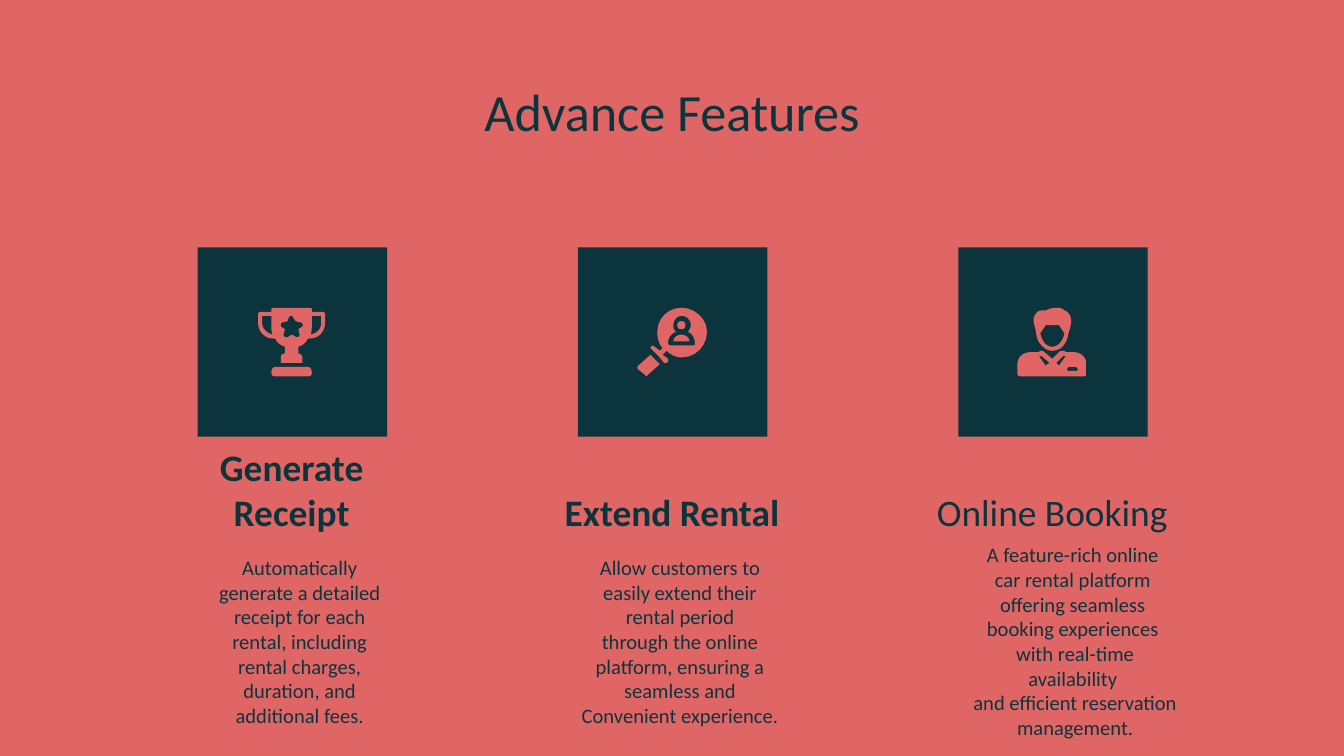
from lxml import etree
from pptx import Presentation
from pptx.dml.color import RGBColor
from pptx.enum import shapes as kinds, text as txt
from pptx.oxml import ns
from pptx.util import Inches, Pt

CORAL = RGBColor(0xE0, 0x66, 0x66)
TEAL = RGBColor(0x0C, 0x34, 0x3D)
FONT = "Calibri"

TITLE = "Advance Features"
# heading, bold heading, lines, body box, anchor, hanging indent
COLS = [
    ("Generate Receipt", True,
     ["Automatically", "generate a detailed", "receipt for each",
      "rental, including", "rental charges,", "duration, and",
      "additional fees."],
     (1.09, 4.03, 2.16, 1.05), "TOP", True),
    ("Extend Rental", True,
     ["Allow customers to", "easily extend their", "rental period",
      "through the online", "platform, ensuring a", "seamless and",
      "Convenient experience."],
     (3.92, 4.03, 2.16, 1.53), "TOP", True),
    ("Online Booking", False,
     ["A feature-rich online ", "car rental platform ",
      "offering seamless ", "booking experiences ",
      "with real-time availability ", "and efficient reservation ",
      "management."],
     (7.13, 4.07, 1.74, 1.4), "MIDDLE", False),
]

# Icon > part > contour, in hundredths of an inch on the slide.
# Two numbers are a corner, six are a Bezier curve.
TROPHY = [
    ["205 273; 203 273 202 275 202 277; 202 278; 202 279 203 280 204 280;"
     "230 280; 231 280 232 279 232 278; 232 277; 232 275 231 273 229 273"],
    ["239 235; 239 240; 239 245 236 248 231 249; 232 247 232 245 232 244;"
     "232 235",
     "202 235; 202 244; 202 245 202 247 203 249; 199 248 195 245 195 240;"
     "195 235",
     "217 235; 217 235 218 235 218 236; 220 239; 224 240;"
     "225 240 226 242 225 243; 222 245; 223 249; 223 250 222 251 221 251;"
     "217 249; 214 251; 213 251 211 251 211 249; 212 245; 209 243;"
     "209 242 209 240 210 240; 214 239; 215 236; 216 235 216 235 217 235",
     "204 229; 203 229 202 229 202 230; 202 232; 194 232;"
     "193 232 192 233 192 234; 192 240; 192 247 197 252 204 252; 205 252;"
     "206 255 209 257 212 258; 212 263; 210 263 209 264 209 266; 209 270;"
     "225 270; 225 266; 225 265 224 263 222 263; 222 258;"
     "225 257 228 255 229 252; 230 252; 237 252 242 247 242 240; 242 234;"
     "242 233 241 232 241 232; 232 232; 232 230; 232 229 231 229 230 229"],
]
SEARCH = [
    ["507 239; 505 239 504 240 504 242; 504 244 505 245 507 245;"
     "509 245 510 244 510 242; 510 240 509 239 507 239"],
    ["507 249; 504 249 501 251 501 254; 513 254; 513 251 510 249 507 249"],
    ["507 235; 511 235 514 238 514 242; 514 244 513 245 512 247;"
     "515 248 517 252 517 255; 517 257 517 257 516 257; 499 257;"
     "498 257 497 256 497 255; 497 252 499 248 503 247;"
     "501 245 501 244 501 242; 501 238 504 235 507 235",
     "507 229; 497 229 489 237 489 247; 489 251 490 256 493 259; 491 261;"
     "487 258; 486 257 484 257 484 259; 484 259 484 259 485 260; 490 265;"
     "494 270; 496 271 498 269 497 267; 493 264; 496 261;"
     "499 264 503 266 507 266; 518 266 526 257 526 247;"
     "526 237 517 229 507 229"],
    ["484 264; 475 272; 474 273 474 274 475 275; 480 279;"
     "480 280 482 280 482 279; 491 271"],
]
AGENT = [
    ["787 242; 788 242; 792 248; 791 253 788 258 783 258;"
     "778 258 775 253 774 248; 778 242",
     "786 229; 783 229 780 230 778 231; 776 231; 775 231 773 231 772 232;"
     "771 233 769 235 769 238; 769 240 770 243 771 248;"
     "771 248 771 253 775 257; 778 260 780 261 783 261;"
     "790 261 794 255 795 248; 796 245 797 241 797 239;"
     "797 235 795 232 792 231; 790 229 788 229 786 229"],
    ["775 265; 781 270; 778 272; 773 265",
     "791 265; 793 265; 788 272; 786 270",
     "800 273; 801 273 802 274 802 275; 802 276 801 276 800 276; 796 276;"
     "795 276 794 276 794 275; 794 274 795 273 796 273",
     "775 261; 774 261; 773 262; 767 262; 761 262 757 266 757 271; 757 278;"
     "757 279 758 280 759 280; 807 280; 808 280 808 279 808 278; 808 271;"
     "809 267 805 262 799 262; 793 262; 792 261; 791 261 790 261 789 261;"
     "783 267; 776 261"],
]
ICONS = [TROPHY, SEARCH, AGENT]


def place(obj, box):
    for name, val in zip(("left", "top", "width", "height"), box):
        setattr(obj, name, Inches(val))


def write(obj, box, lines, size, bold=False, anchor="TOP", hang=False):
    place(obj, box)
    frame = obj.text_frame
    form = {"word_wrap": True, "auto_size": txt.MSO_AUTO_SIZE.NONE,
            "vertical_anchor": getattr(txt.MSO_ANCHOR, anchor)}
    form.update(dict.fromkeys(("margin_left", "margin_right", "margin_top",
                               "margin_bottom"), Inches(0.1)))
    for name, val in form.items():
        setattr(frame, name, val)
    frame.text = "\n".join(lines)
    for para in frame.paragraphs:
        para.alignment = txt.PP_ALIGN.CENTER
        para.space_before = Pt(0)
        props = para._p.get_or_add_pPr()
        props.set("marL", str(Inches(0.5 if hang else 0)))
        props.set("indent", str(Inches(-0.38 if hang else 0)))
        etree.SubElement(props, ns.qn("a:buNone"))
        font = para.runs[0].font
        for name, val in {"name": FONT, "size": Pt(size),
                          "bold": bold}.items():
            setattr(font, name, val)
        font.color.rgb = TEAL


def paint(shape, color):
    shape.shadow.inherit = False
    shape.fill.solid()
    shape.fill.fore_color.rgb = color
    shape.line.fill.background()


def trace(contour, steps=6):
    """Turn a contour into points, sampling each curve."""
    pts = []
    for seg in contour.split(";"):
        nums = [Inches(int(n) / 100) for n in seg.split()]
        ends = list(zip(nums[::2], nums[1::2]))
        if len(ends) == 1:
            pts += ends
            continue
        quad = [pts[-1]] + ends
        for i in range(1, steps + 1):
            t = i / steps
            mix = ((1 - t) ** 3, 3 * t * (1 - t) ** 2,
                   3 * t * t * (1 - t), t ** 3)
            pts.append(tuple(sum(m * p[k] for m, p in zip(mix, quad))
                             for k in (0, 1)))
    return pts


def draw(slide, icon):
    group = slide.shapes.add_group_shape()
    for part in icon:
        pen = None
        for contour in part:
            first, *rest = trace(contour)
            if pen is None:
                pen = group.shapes.build_freeform(*first)
            else:
                pen.move_to(*first)
            pen.add_line_segments(rest, close=True)
        paint(pen.convert_to_shape(), CORAL)


prs = Presentation()
prs.slide_width, prs.slide_height = Inches(10), Inches(10 * 9 / 16)
slide = prs.slides.add_slide(prs.slide_layouts.get_by_name("Comparison"))
slide.background.fill.solid()
slide.background.fill.fore_color.rgb = CORAL

title, *holders = slide.placeholders
write(title, (0.34, 0.49, 9.32, 0.63), [TITLE], 28)
# The layout holds two columns; the third gets text boxes.
holders += [slide.shapes.add_textbox(0, 0, 0, 0) for _ in range(2)]

for i, (head, bold, lines, box, anchor, hang) in enumerate(COLS):
    step = 2.83 * i
    write(holders[2 * i], (1.09 + step, 3.5, 2.16, 0.57), [head], 20,
          bold, "BOTTOM")
    write(holders[2 * i + 1], box, lines, 11, False, anchor, hang)
    tile = slide.shapes.add_shape(kinds.MSO_SHAPE.RECTANGLE, 0, 0, 0, 0)
    place(tile, (1.47 + step, 1.84, 1.41, 1.41))
    paint(tile, TEAL)
    draw(slide, ICONS[i])

prs.save("out.pptx")
